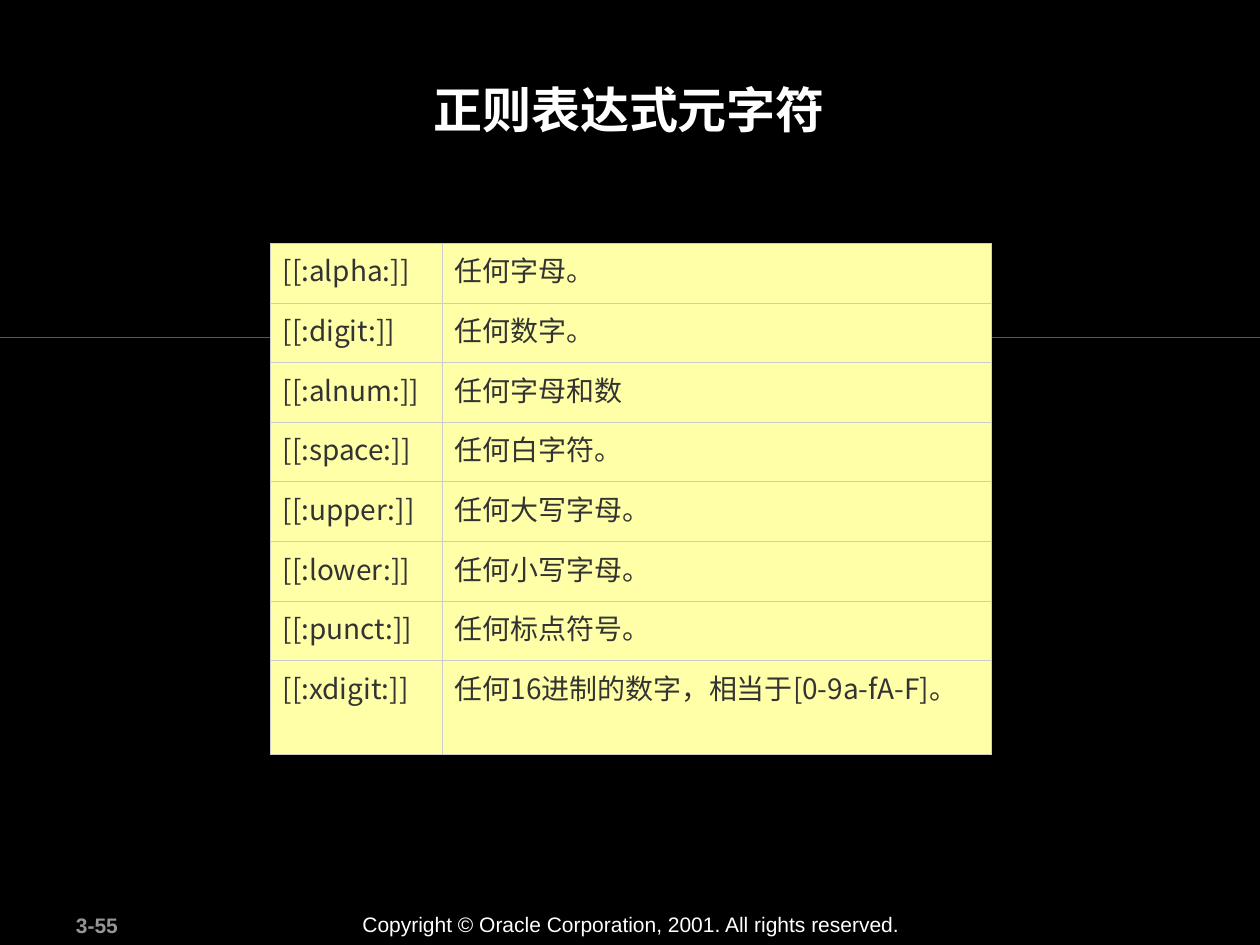
from lxml.etree import SubElement
from pptx import Presentation
from pptx.dml.color import RGBColor
from pptx.enum.shapes import MSO_SHAPE
from pptx.enum.text import MSO_ANCHOR, PP_ALIGN
from pptx.oxml.ns import qn
from pptx.util import Pt

# Content
TITLE = "正则表达式元字符"
PAGE_NUMBER = "3-55"
COPYRIGHT = "Copyright © Oracle Corporation, 2001. All rights reserved."
METACHARACTERS = [
    ("[[:alpha:]]", "任何字母。"),
    ("[[:digit:]]", "任何数字。"),
    ("[[:alnum:]]", "任何字母和数"),
    ("[[:space:]]", "任何白字符。"),
    ("[[:upper:]]", "任何大写字母。"),
    ("[[:lower:]]", "任何小写字母。"),
    ("[[:punct:]]", "任何标点符号。"),
    ("[[:xdigit:]]", "任何16进制的数字，相当于[0-9a-fA-F]。"),
]

# Layout, in points
SLIDE_WIDTH, SLIDE_HEIGHT = 720, 540
TABLE_LEFT, TABLE_TOP = 154.3, 139
COLUMN_WIDTHS = (98.4, 314)
ROW_HEIGHT, LAST_ROW_HEIGHT = 34.1, 53.5  # the last row holds two lines


def color(hex_code):
    return RGBColor.from_string(hex_code)


def write(frame, text, size, hex_code, font_name="Arial", bold=False):
    frame.word_wrap = True
    paragraph = frame.paragraphs[0]
    run = paragraph.add_run()
    run.text = text
    font = paragraph.font
    font.size, font.bold, font.name = Pt(size), bold, font_name
    font.color.rgb = color(hex_code)
    # Chinese characters take the East Asian typeface
    SubElement(run.font._element, qn("a:ea"), typeface=font_name)
    return paragraph


def outline_cell(cell, hex_code, width):
    properties = cell._tc.get_or_add_tcPr()
    for position, side in enumerate(("lnL", "lnR", "lnT", "lnB")):
        line = SubElement(properties, qn(f"a:{side}"), w=str(Pt(width)))
        fill = SubElement(line, qn("a:solidFill"))
        SubElement(fill, qn("a:srgbClr"), val=hex_code)
        properties.insert(position, line)


presentation = Presentation()
presentation.slide_width = Pt(SLIDE_WIDTH)
presentation.slide_height = Pt(SLIDE_HEIGHT)
slide = presentation.slides.add_slide(presentation.slide_layouts[5])
slide.background.fill.solid()
slide.background.fill.fore_color.rgb = color("000000")

# Footer: page number and copyright
for text, left, top, width, hex_code, bold in (
    (PAGE_NUMBER, 36.3, 517.7, 75.6, "969696", True),
    (COPYRIGHT, 200, 517.3, 322.6, "FFFFFF", False),
):
    footer = slide.shapes.add_textbox(Pt(left), Pt(top), Pt(width), Pt(21.6))
    write(footer.text_frame, text, 12, hex_code, bold=bold)

# Title
title = slide.shapes.title
title.left, title.top, title.width, title.height = Pt(67.9), Pt(41.8), Pt(583.2), Pt(69)
title.text_frame.vertical_anchor = MSO_ANCHOR.TOP
write(title.text_frame, TITLE, 28, "FFFFFF", bold=True).alignment = PP_ALIGN.CENTER

# Hairline behind the table
hairline = slide.shapes.add_shape(
    MSO_SHAPE.RECTANGLE, Pt(0), Pt(192.8), Pt(SLIDE_WIDTH), Pt(0.2))
hairline.shadow.inherit = False
hairline.fill.solid()
hairline.fill.fore_color.rgb = color("F7FCFF")
hairline.line.fill.background()

# Table of character classes
row_heights = [ROW_HEIGHT] * (len(METACHARACTERS) - 1) + [LAST_ROW_HEIGHT]
table = slide.shapes.add_table(
    len(METACHARACTERS), len(COLUMN_WIDTHS), Pt(TABLE_LEFT), Pt(TABLE_TOP),
    Pt(sum(COLUMN_WIDTHS)), Pt(sum(row_heights))).table
table.first_row = table.horz_banding = False
for column, width in zip(table.columns, COLUMN_WIDTHS):
    column.width = Pt(width)
for row, height, entry in zip(table.rows, row_heights, METACHARACTERS):
    row.height = Pt(height)
    for cell, text in zip(row.cells, entry):
        cell.fill.solid()
        cell.fill.fore_color.rgb = color("FFFFA7")
        outline_cell(cell, "CCCCCC", 0.45)
        write(cell.text_frame, text, 16, "333333", "Noto Sans CJK SC")

presentation.save("out.pptx")
